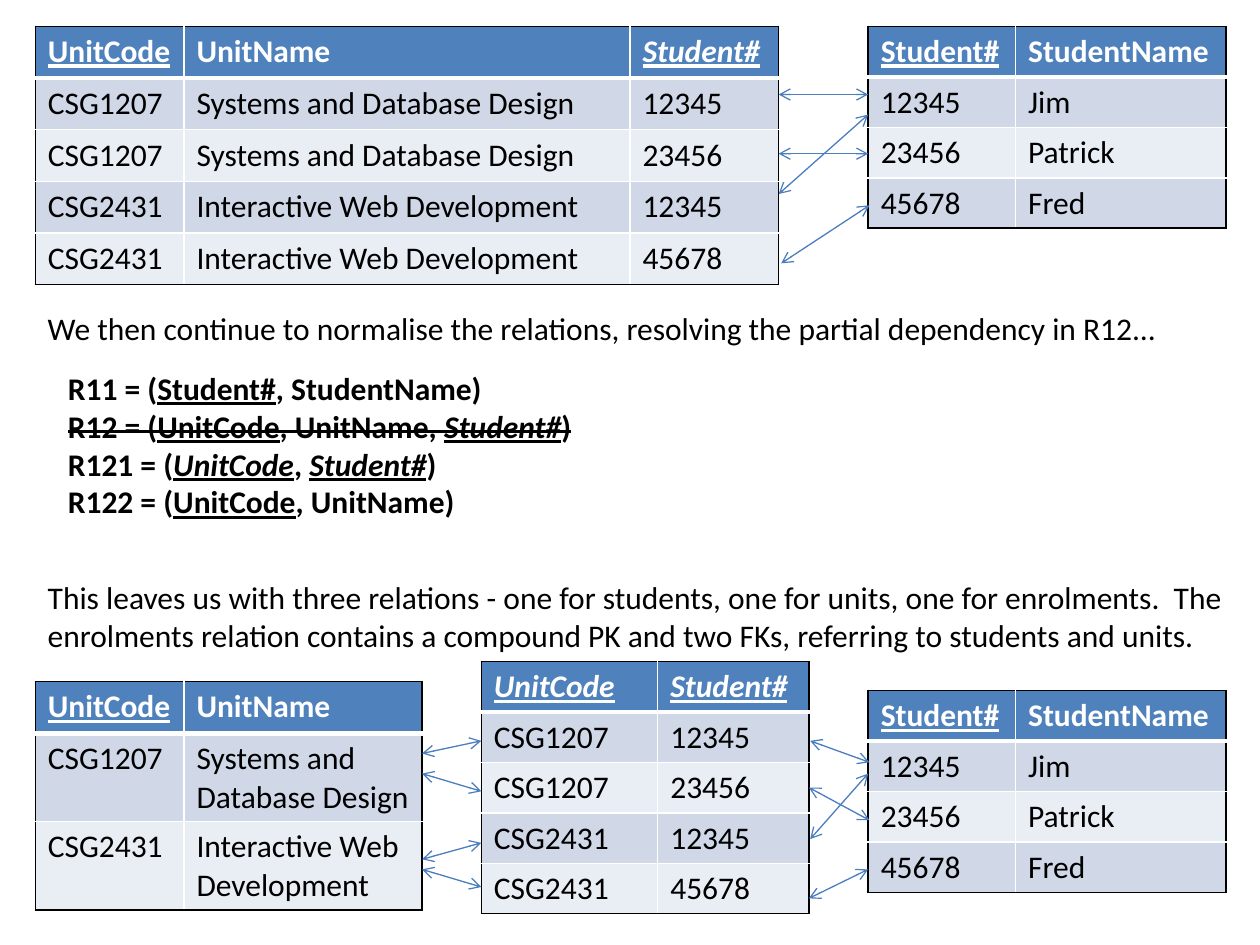
from dataclasses import dataclass
from lxml.etree import SubElement
from pptx import Presentation
from pptx.dml.color import RGBColor
from pptx.enum.shapes import MSO_CONNECTOR as Connector
from pptx.enum.text import MSO_AUTO_SIZE as AutoSize
from pptx.oxml.ns import qn
from pptx.slide import Slide
from pptx.util import Inches, Pt

BLACK = RGBColor(0x00, 0x00, 0x00)
WHITE = RGBColor(0xFF, 0xFF, 0xFF)
HEADER_BLUE = RGBColor(0x4F, 0x81, 0xBD)
BANDS = (RGBColor(0xD0, 0xD8, 0xE8), RGBColor(0xE9, 0xED, 0xF4))
ARROW_BLUE = RGBColor(0x4B, 0x7E, 0xBC)


@dataclass
class RelationSlide:
    slide: Slide
    font_name: str = "Calibri"
    font_size: int = 18

    def add_run(self, paragraph, text, marks="", color=BLACK):
        run = paragraph.add_run()
        run.text = text
        font = run.font
        font.name, font.size = self.font_name, Pt(self.font_size)
        font.color.rgb = color
        font.bold, font.italic, font.underline = (mark in marks for mark in "biu")
        if "s" in marks:
            run._r.get_or_add_rPr().set("strike", "sngStrike")

    def add_text(self, left, top, width, height, lines):
        box = self.slide.shapes.add_textbox(
            Inches(left), Inches(top), Inches(width), Inches(height))
        frame = box.text_frame
        frame.word_wrap = True
        frame.auto_size = AutoSize.SHAPE_TO_FIT_TEXT
        for index, line in enumerate(lines):
            paragraph = frame.add_paragraph() if index else frame.paragraphs[0]
            for text, marks in line:
                self.add_run(paragraph, text, marks)

    def add_border(self, cell, side, color, points):
        line = SubElement(cell._tc.get_or_add_tcPr(), qn(f"a:ln{side}"), w=str(Pt(points)))
        fill = SubElement(line, qn("a:solidFill"))
        SubElement(fill, qn("a:srgbClr"), val=str(color))

    def add_relation(self, left, top, widths, heights, header, records):
        rows = [header] + [[(value, "") for value in record] for record in records]
        last_row, last_column = len(rows) - 1, len(widths) - 1
        table = self.slide.shapes.add_table(
            len(rows), len(widths), Inches(left), Inches(top),
            Inches(sum(widths)), Inches(sum(heights))).table
        for column, width in zip(table.columns, widths):
            column.width = Inches(width)
        for row, height in zip(table.rows, heights):
            row.height = Inches(height)
        for r, values in enumerate(rows):
            for c, (text, marks) in enumerate(values):
                cell = table.cell(r, c)
                outer_sides = {"L": c == 0, "R": c == last_column,
                               "T": r == 0, "B": r == last_row}
                for side, outer in outer_sides.items():
                    under_header = (r, side) in ((0, "B"), (1, "T"))
                    self.add_border(cell, side, BLACK if outer else WHITE,
                                    3 if under_header else 1)
                cell.fill.solid()
                cell.fill.fore_color.rgb = BANDS[(r - 1) % 2] if r else HEADER_BLUE
                self.add_run(cell.text_frame.paragraphs[0], text, marks,
                             BLACK if r else WHITE)

    def add_link(self, start_x, start_y, end_x, end_y):
        link = self.slide.shapes.add_connector(
            Connector.STRAIGHT, Inches(start_x), Inches(start_y),
            Inches(end_x), Inches(end_y))
        link.line.color.rgb = ARROW_BLUE
        link.line.width = Pt(0.75)
        line = link.line._get_or_add_ln()
        for end in ("headEnd", "tailEnd"):
            SubElement(line, qn(f"a:{end}"), type="arrow")
        SubElement(link._element.spPr, qn("a:effectLst"))


def main():
    deck = Presentation()
    deck.slide_width, deck.slide_height = Inches(10), Inches(7.5)
    page = RelationSlide(deck.slides.add_slide(deck.slide_layouts[6]))

    page.add_text(0.28, 2.4, 9.69, 0.4, [[(
        "We then continue to normalise the relations, resolving the partial "
        "dependency in R12...", "")]])
    page.add_text(0.44, 2.88, 9.69, 1.31, [
        [("R11 = (", "b"), ("Student#", "bu"), (", StudentName)", "b")],
        [("R12 = (", "bs"), ("UnitCode", "bus"), (", UnitName,", "bs"),
         (" ", "bis"), ("Student#", "bius"), (")", "bs")],
        [("R121 = (", "b"), ("UnitCode", "biu"), (", ", "b"),
         ("Student#", "biu"), (")", "b")],
        [("R122 = (", "b"), ("UnitCode", "bu"), (", UnitName)", "b")],
    ])
    page.add_text(0.28, 4.54, 9.69, 0.71, [[(
        "This leaves us with three relations - one for students, one for units, "
        "one for enrolments.  The enrolments relation contains a compound PK and "
        "two FKs, referring to students and units.", "")]])

    units = {"CSG1207": "Systems and Database Design",
             "CSG2431": "Interactive Web Development"}
    students = [("12345", "Jim"), ("23456", "Patrick"), ("45678", "Fred")]
    enrolments = [("CSG1207", "12345"), ("CSG1207", "23456"),
                  ("CSG2431", "12345"), ("CSG2431", "45678")]

    page.add_relation(0.28, 5.41, [1.18, 1.89], [0.41, 0.7, 0.7],
                      [("UnitCode", "bu"), ("UnitName", "b")], units.items())
    page.add_relation(3.82, 5.25, [1.4, 1.2], [0.4] * 5,
                      [("UnitCode", "biu"), ("Student#", "biu")], enrolments)
    page.add_relation(0.28, 0.21, [1.18, 3.54, 1.18], [0.41] * 5,
                      [("UnitCode", "bu"), ("UnitName", "b"), ("Student#", "biu")],
                      [(code, units[code], student) for code, student in enrolments])
    for students_top in (5.48, 0.21):
        page.add_relation(6.89, students_top, [1.17, 1.67], [0.4] * 4,
                          [("Student#", "bu"), ("StudentName", "b")], students)

    unit_student_links = [(6.89, 0.75, 6.18, 0.75), (6.89, 0.91, 6.18, 1.54),
                          (6.89, 1.22, 6.18, 1.22), (6.9, 1.63, 6.2, 2.09)]
    student_enrolment_links = [(6.89, 6.9, 6.42, 7.13), (6.9, 6.05, 6.43, 5.88),
                               (6.89, 6.14, 6.43, 6.66), (6.9, 6.51, 6.42, 6.25)]
    enrolment_unit_links = [(3.82, start_y, 3.35, end_y) for start_y, end_y in (
        (7.04, 6.9), (6.69, 6.82), (6.28, 6.14), (5.88, 5.98))]
    for ends in unit_student_links + student_enrolment_links + enrolment_unit_links:
        page.add_link(*ends)

    deck.save("out.pptx")


if __name__ == "__main__":
    main()
